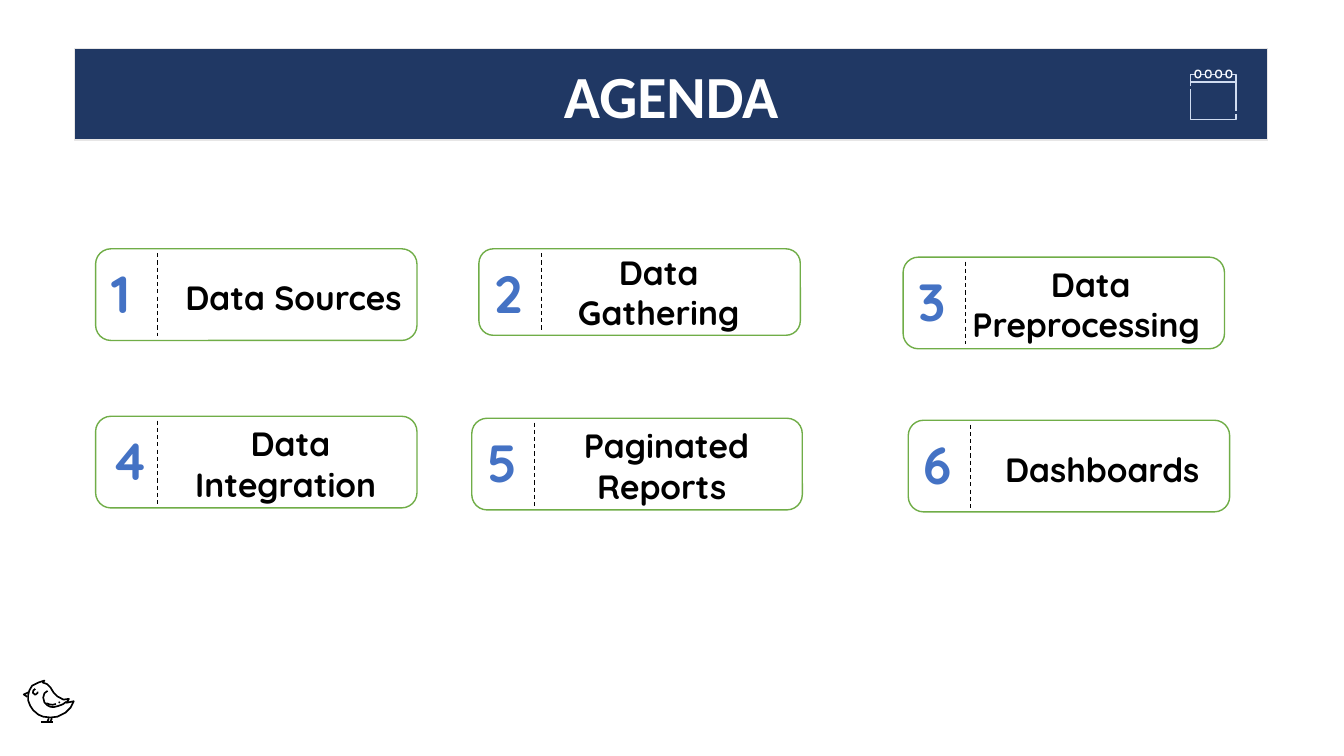
from lxml.etree import SubElement
from pptx import Presentation
from pptx.dml.color import RGBColor
from pptx.enum.dml import MSO_LINE
from pptx.enum.shapes import MSO_CONNECTOR, MSO_SHAPE
from pptx.enum.text import MSO_ANCHOR, MSO_AUTO_SIZE, PP_ALIGN
from pptx.oxml.ns import qn
from pptx.util import Cm, Pt

rgb = RGBColor.from_string


def style(sp, fill, line, width):
    sp.shadow.inherit = False
    if fill:
        sp.fill.solid()
        sp.fill.fore_color.rgb = rgb(fill)
    else:
        sp.fill.background()
    sp.line.color.rgb = rgb(line)
    sp.line.width = Pt(width)


def write(sp, text, font, color, align):
    tf = sp.text_frame
    tf.word_wrap = True
    p = tf.paragraphs[0]
    p.alignment = align
    r = p.add_run()
    r.text = text
    for key, value in font.items():
        setattr(r.font, key, value)
    r.font.color.rgb = rgb(color)


title_font = {"name": "Calibri", "size": Pt(42.7), "bold": True}
number_font = {"name": "Quicksand", "size": Pt(37.3), "bold": True}
label_font = {"name": "Quicksand", "size": Pt(24), "bold": True}

prs = Presentation()
prs.slide_width, prs.slide_height = Cm(33.87), Cm(19.05)
s = prs.slides.add_slide(prs.slide_layouts[6])

banner = s.shapes.add_shape(MSO_SHAPE.RECTANGLE, Cm(1.88), Cm(1.22), Cm(30.07), Cm(2.31))
style(banner, "203864", "E7E6E6", 1)
write(banner, "AGENDA", title_font, "FFFFFF", PP_ALIGN.CENTER)
banner.text_frame.vertical_anchor = MSO_ANCHOR.MIDDLE

cards = [
    ((2.41, 6.27, 8.1, 2.31), " Data Sources", (4.04, 6.86, 6.48, 1.27)),
    ((12.07, 6.27, 8.1, 2.18), "Data Gathering", (13.36, 6.22, 6.48, 2.21)),
    ((22.76, 6.48, 8.1, 2.31), "Data Preprocessing ", (23.44, 6.53, 8.1, 2.31)),
    ((2.41, 10.49, 8.1, 2.31), " Data Integration", (3.96, 10.54, 6.48, 2.31)),
    ((11.89, 10.54, 8.33, 2.31), "Paginated Reports ", (13, 10.59, 7.59, 2.31)),
    ((22.89, 10.59, 8.1, 2.31), "Dashboards", (24.54, 11.18, 6.48, 1.27)),
]
for number, (frame, label, label_box) in enumerate(cards, 1):
    x, y, w, h = frame
    sp = s.shapes.add_shape(MSO_SHAPE.ROUNDED_RECTANGLE, *map(Cm, frame))
    style(sp, "FFFFFF", "70AD47", 1)
    number_box = (x + 0.14, y + 0.18, 1.35, h - 0.46)
    for box, text, font, color, align in (
        (number_box, str(number), number_font, "4472C4", PP_ALIGN.LEFT),
        (label_box, label, label_font, "000000", PP_ALIGN.CENTER),
    ):
        sp = s.shapes.add_textbox(*map(Cm, box))
        write(sp, text, font, color, align)
        sp.text_frame.auto_size = MSO_AUTO_SIZE.SHAPE_TO_FIT_TEXT
    divider = s.shapes.add_connector(
        MSO_CONNECTOR.STRAIGHT, Cm(x + 1.57), Cm(y + 0.11), Cm(x + 1.57), Cm(y + h - 0.11)
    )
    divider.line.color.rgb = rgb("000000")
    divider.line.width = Pt(0.75)
    divider.line.dash_style = MSO_LINE.DASH
    SubElement(divider._element.spPr, qn("a:effectLst"))

body = [(112, 1715), (97, 1720), (81, 1728), (74, 1740), (71, 1752), (71, 1765),
        (76, 1778), (84, 1790), (97, 1801), (109, 1806), (127, 1808), (145, 1806),
        (165, 1796), (178, 1783), (186, 1767), (168, 1771), (174, 1761), (160, 1763),
        (145, 1755), (135, 1745), (127, 1732), (119, 1724), (108, 1720), (112, 1715)]
wing = [(120, 1741), (112, 1747), (109, 1758), (112, 1770), (119, 1777),
        (127, 1781), (135, 1782), (147, 1779), (158, 1775), (168, 1768)]
feathers = [(117, 1772), (125, 1775), (133, 1776), (141, 1774)]
spot = [(148, 1771), (151, 1769)]
beak = [(71, 1745), (60, 1750), (69, 1756)]
eye = [(89, 1736), (84, 1740), (83, 1746), (89, 1751), (95, 1746), (95, 1743)]
left_leg = [(123, 1810), (119, 1820)]
right_leg = [(131, 1810), (126, 1820)]
ground = [(103, 1820), (133, 1820)]
bird = [body, wing, feathers, spot, beak, eye, left_leg, right_leg, ground]

calendar_top = [(3001, 218), (3001, 188), (3115, 188), (3115, 281)]
calendar_header = [(3001, 207), (3115, 207)]
calendar_base = [(3001, 225), (3001, 301), (3115, 301), (3115, 288)]
calendar = [calendar_top, calendar_header, calendar_base]

for strokes, color, width in ((bird, "000000", 1.2), (calendar, "D0DCF0", 1)):
    for points in strokes:
        builder = s.shapes.build_freeform(*points[0], scale=Cm(0.01))
        builder.add_line_segments(points[1:], close=False)
        style(builder.convert_to_shape(), None, color, width)

for i in range(4):
    ring = s.shapes.add_shape(
        MSO_SHAPE.ROUNDED_RECTANGLE, Cm(30.12 + 0.26 * i), Cm(1.77), Cm(0.14), Cm(0.19)
    )
    ring.adjustments[0] = 0.5
    style(ring, "203864", "F6F8FC", 1)

prs.save("out.pptx")
